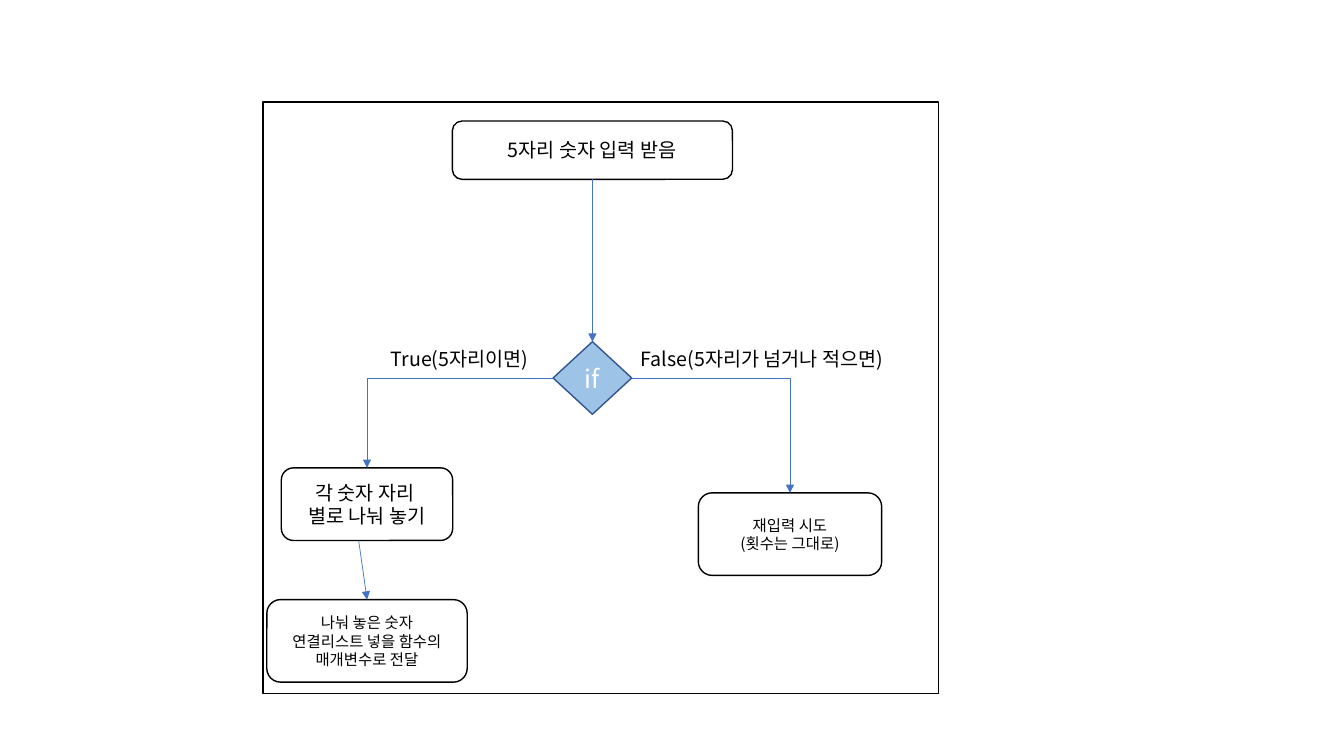
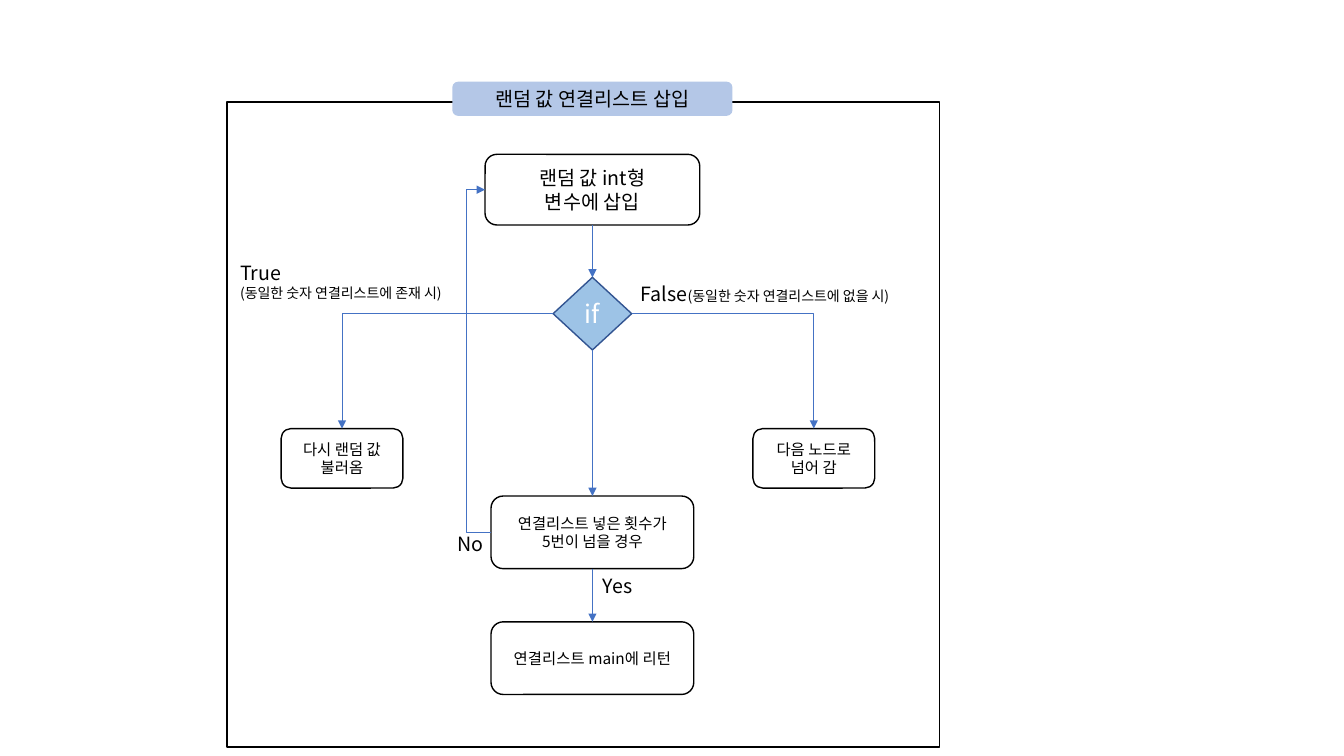
from pptx import Presentation
from pptx.dml.color import RGBColor
from pptx.enum.shapes import MSO_CONNECTOR, MSO_SHAPE
from pptx.enum.text import MSO_ANCHOR, MSO_AUTO_SIZE, PP_ALIGN
from pptx.oxml.ns import qn
from pptx.util import Cm, Pt
from lxml.etree import SubElement

BLACK = RGBColor(0x00, 0x00, 0x00)
WHITE = RGBColor(0xFF, 0xFF, 0xFF)
ARROW_BLUE = RGBColor(0x44, 0x72, 0xC4)
DECISION_FILL = RGBColor(0x9D, 0xC3, 0xE6)
DECISION_LINE = RGBColor(0x32, 0x54, 0x91)
BANNER_FILL = RGBColor(0xB4, 0xC7, 0xE7)
FONT = "Noto Sans CJK KR"
AXIS = 14.93
LABEL_HEIGHT = 0.86
TOP, LEFT, BOTTOM, RIGHT = range(4)


def format_span(span, size, color=BLACK):
    span.font.name = FONT
    span.font.size = Pt(size)
    span.font.color.rgb = color
    SubElement(span.font._element, qn("a:ea")).set("typeface", FONT)


def add_block(page, kind, left, top, width, height, fill=None, line=BLACK):
    block = page.shapes.add_shape(kind, Cm(left), Cm(top), Cm(width), Cm(height))
    block.shadow.inherit = False
    if fill is None:
        block.fill.background()
    else:
        block.fill.solid()
        block.fill.fore_color.rgb = fill
    if line is None:
        block.line.fill.background()
    else:
        block.line.color.rgb = line
        block.line.width = Pt(1)
    return block


def write_centred(block, text, size, color=BLACK):
    frame = block.text_frame
    frame.word_wrap = True
    frame.vertical_anchor = MSO_ANCHOR.MIDDLE
    frame.text = text
    for para in frame.paragraphs:
        para.alignment = PP_ALIGN.CENTER
        for span in para.runs:
            format_span(span, size, color)


def add_step(page, text, centre, top, width, height, size=11, **style):
    step = add_block(page, MSO_SHAPE.ROUNDED_RECTANGLE, centre - width / 2, top, width, height, **style)
    write_centred(step, text, size)
    return step


def add_decision(page, top):
    width = 1.98
    decision = add_block(page, MSO_SHAPE.FLOWCHART_DECISION, AXIS - width / 2, top, width, 1.83,
                         DECISION_FILL, DECISION_LINE)
    write_centred(decision, "if", 18, WHITE)
    return decision


def add_label(page, left, top, width, *parts, height=LABEL_HEIGHT, stacked=False):
    box = page.shapes.add_textbox(Cm(left), Cm(top), Cm(width), Cm(height))
    box.text_frame.word_wrap = True
    box.text_frame.auto_size = MSO_AUTO_SIZE.SHAPE_TO_FIT_TEXT
    para = box.text_frame.paragraphs[0]
    for index, (text, size) in enumerate(parts):
        if stacked and index:
            para.add_line_break()
        span = para.add_run()
        span.text = text
        format_span(span, size)


def add_arrow(page, kind=MSO_CONNECTOR.STRAIGHT, start=(0, 0), end=(0, 0)):
    arrow = page.shapes.add_connector(kind, *start, *end)
    arrow.line.color.rgb = ARROW_BLUE
    arrow.line.width = Pt(0.5)
    SubElement(arrow.line._get_or_add_ln(), qn("a:tailEnd")).set("type", "triangle")
    SubElement(arrow._element.spPr, qn("a:effectLst"))
    return arrow


def link(page, source, source_site, target, target_site, kind=MSO_CONNECTOR.STRAIGHT):
    arrow = add_arrow(page, kind)
    arrow.begin_connect(source, source_site)
    arrow.end_connect(target, target_site)
    return arrow


def link_corner(page, source, source_site, target):
    arrow = link(page, source, source_site, target, TOP, MSO_CONNECTOR.ELBOW)
    arrow._element.spPr.find(qn("a:prstGeom")).set("prst", "bentConnector2")


def link_back(page, source, target, lane):
    arrow = link(page, source, LEFT, target, LEFT, MSO_CONNECTOR.ELBOW)
    bend = (arrow.begin_x - Cm(lane)) / (arrow.begin_x - arrow.end_x)
    geometry = arrow._element.spPr.find(qn("a:prstGeom"))
    guide = SubElement(geometry.find(qn("a:avLst")), qn("a:gd"))
    guide.set("name", "adj1")
    guide.set("fmla", f"val {round(bend * 100000)}")


def build_input_check(page):
    add_block(page, MSO_SHAPE.RECTANGLE, 6.63, 2.57, 17.02, 14.91)
    entry = add_step(page, "5자리 숫자 입력 받음", AXIS, 3.05, 7.06, 1.47, 14)
    decision = add_decision(page, 8.61)
    hand_over = add_step(page, "나눠 놓은 숫자\n연결리스트 넣을 함수의\n매개변수로 전달", 9.25, 15.11, 5.05, 2.08)
    retry = add_step(page, "재입력 시도\n(횟수는 그대로)", 19.91, 12.42, 4.62, 2.08)
    split = add_step(page, "각 숫자 자리 \n별로 나눠 놓기", 9.25, 11.79, 4.32, 1.83, 14)
    link(page, entry, BOTTOM, decision, TOP)
    link_corner(page, decision, LEFT, split)
    link_corner(page, decision, RIGHT, retry)
    descent = add_arrow(page, start=(Cm(9.04), split.top + split.height))
    descent.end_connect(hand_over, TOP)
    add_label(page, 9.6, 8.61, 4.6, ("True(5자리이면)", 14))
    add_label(page, 15.9, 8.61, 7.77, ("False(5자리가 넘거나 적으면)", 14))


def build_random_insert(page):
    add_block(page, MSO_SHAPE.RECTANGLE, 5.72, 2.57, 17.96, 16.26)
    add_step(page, "랜덤 값 연결리스트 삽입", AXIS, 2.06, 7.06, 0.86, 14, fill=BANNER_FILL, line=None)
    draw = add_step(page, "랜덤 값 int형\n변수에 삽입", AXIS, 3.89, 5.41, 1.78, 14)
    decision = add_decision(page, 6.99)
    redraw = add_step(page, "다시 랜덤 값\n불러옴", 8.62, 10.8, 3.07, 1.5)
    next_node = add_step(page, "다음 노드로\n넘어 감", 20.51, 10.8, 3.07, 1.5)
    count = add_step(page, "연결리스트 넣은 횟수가\n5번이 넘을 경우", AXIS, 12.5, 5.11, 1.83)
    result = add_step(page, "연결리스트 main에 리턴", AXIS, 15.67, 5.11, 1.83)
    for source, target in ((draw, decision), (decision, count), (count, result)):
        link(page, source, BOTTOM, target, TOP)
    link_corner(page, decision, LEFT, redraw)
    link_corner(page, decision, RIGHT, next_node)
    link_back(page, count, draw, 11.75)
    add_label(page, 5.8, 6.45, 5.9, ("True", 14), ("(동일한 숫자 연결리스트에 존재 시)", 10),
              height=1.35, stacked=True)
    add_label(page, 15.9, 6.99, 7.75, ("False", 14), ("(동일한 숫자 연결리스트에 없을 시)", 10))
    add_label(page, 14.94, 14.33, 1.55, ("Yes", 14))
    add_label(page, 11.28, 13.28, 1.55, ("No", 14))


def main():
    deck = Presentation()
    deck.slide_width = Cm(33.87)
    deck.slide_height = Cm(19.05)
    blank = deck.slide_layouts[6]
    for build in (build_input_check, build_random_insert):
        build(deck.slides.add_slide(blank))
    deck.save("out.pptx")


main()
